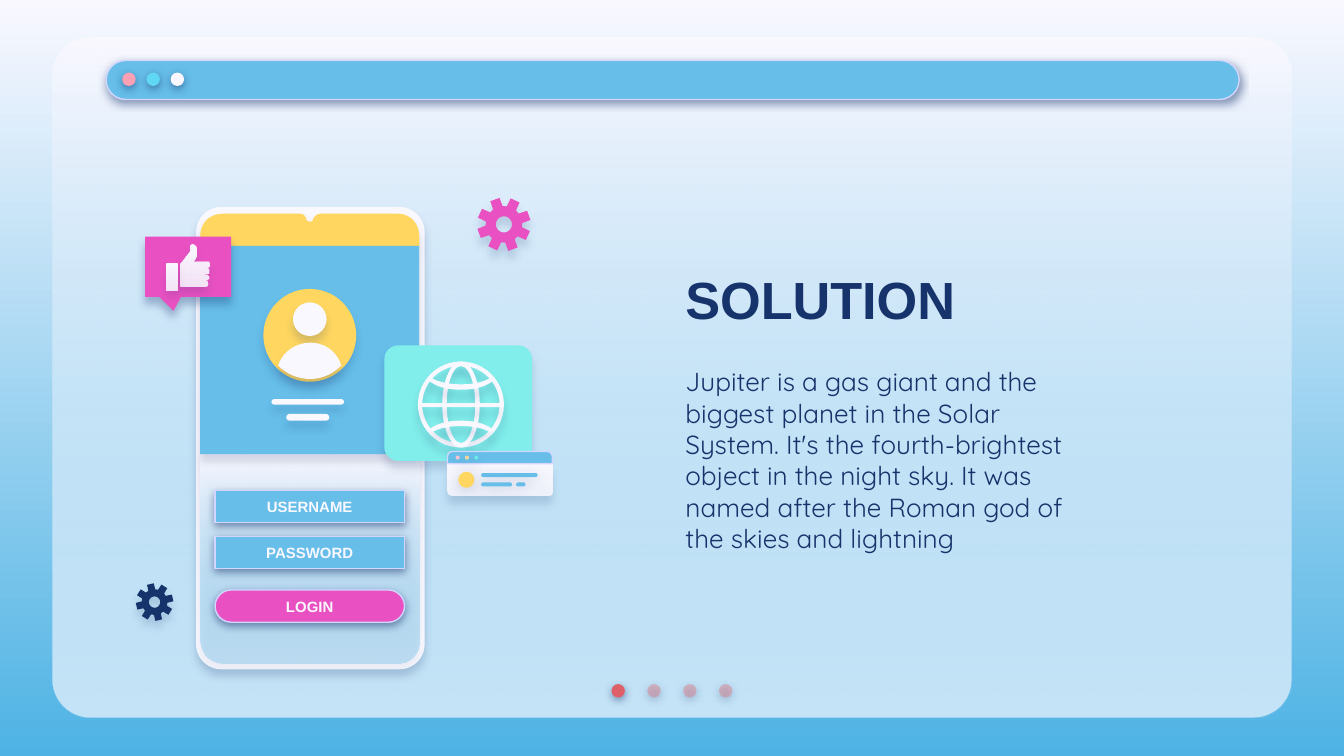
from dataclasses import dataclass
from math import cos, radians, sin

from lxml.etree import SubElement
from pptx import Presentation
from pptx.dml.color import RGBColor
from pptx.enum.shapes import MSO_SHAPE
from pptx.enum.text import MSO_ANCHOR, MSO_AUTO_SIZE, PP_ALIGN
from pptx.oxml.ns import qn
from pptx.util import Inches, Pt


@dataclass(frozen=True)
class Theme:
    """Fills are tuples of (colour, opacity %): one stop is solid, two are a gradient.
    Shadows are (opacity %, blur pt, distance pt)."""
    navy: tuple = (("17336B", 100),)
    white: tuple = (("F9F8FF", 100),)
    blue: tuple = (("66BEE9", 100),)
    yellow: tuple = (("FFD65F", 100),)
    magenta: tuple = (("E951C2", 100),)
    mint: tuple = (("81EEEB", 100),)
    backdrop: tuple = (("F9F8FF", 100), ("4EB3E4", 100))
    glass: tuple = (("F9F8FF", 100), ("66BEE9", 35))
    frost: tuple = (("F9F8FF", 100), ("F9F8FF", 87))
    page_on: tuple = (("DF5F69", 100),)
    page_off: tuple = (("E27B83", 44),)
    window_dots: tuple = ("FDA0B4", "60D8F4", "F9F8FF")
    mini_dots: tuple = ("FFC3D0", "F5D79B", "6AEBE7")
    outline: str = "D2D6FF"
    strong: tuple = (50, 4.5, 1.5)
    callout: tuple = (31, 4.5, 3.8)
    soft: tuple = (16, 4.5, 3.8)
    low: tuple = (16, 4.5, 4.5)
    near: tuple = (18, 6.8, 1.5)
    heading_font: str = "Arial"
    body_font: str = "Quicksand"
    title_size: int = 28
    body_size: int = 14
    label_size: int = 8


T = Theme()
ROUND, OVAL = MSO_SHAPE.ROUNDED_RECTANGLE, MSO_SHAPE.OVAL
TAB, RING = MSO_SHAPE.ROUND_2_SAME_RECTANGLE, MSO_SHAPE.DONUT


def set_fill(fill, stops):
    if len(stops) == 1:
        fill.solid()
        fill.fore_color.rgb = RGBColor.from_string(stops[0][0])
        return
    fill.gradient()
    fill.gradient_angle = 270
    for stop, (color, _) in zip(fill.gradient_stops, stops):
        stop.color.rgb = RGBColor.from_string(color)


def add_alpha(color_element, percent):
    SubElement(color_element, qn("a:alpha"), val=str(percent * 1000))


def style(sp, fill, shadow=None, outlined=False):
    set_fill(sp.fill, fill)
    for element, (_, alpha) in zip(sp.element.xpath("./p:spPr//a:srgbClr"), fill):
        if alpha < 100:
            add_alpha(element, alpha)
    if outlined:
        sp.line.color.rgb = RGBColor.from_string(T.outline)
        sp.line.width = Pt(0.75)
    else:
        sp.line.fill.background()
    sp.shadow.inherit = False
    if shadow:
        alpha, blur, dist = shadow
        effects = sp.element.xpath("./p:spPr/a:effectLst")[0]
        outer = SubElement(effects, qn("a:outerShdw"), blurRad=str(Pt(blur)),
                           dist=str(Pt(dist)), dir="5400000", algn="bl", rotWithShape="0")
        add_alpha(SubElement(outer, qn("a:srgbClr"), val=T.navy[0][0]), alpha)
    return sp


def add_preset(shapes, kind, box, fill, shadow=None, adj=(), outlined=False):
    sp = shapes.add_shape(kind, *map(Inches, box))
    for i, value in enumerate(adj):
        sp.adjustments[i] = value
    return style(sp, fill, shadow, outlined)


def add_outline(shapes, contours, fill, shadow):
    """Draw closed contours, each a list of (x, y) points in inches."""
    emu = [[(Inches(x), Inches(y)) for x, y in contour] for contour in contours]
    builder = shapes.build_freeform(*emu[0][0], scale=1.0)
    for i, points in enumerate(emu):
        if i:
            builder.move_to(*points[0])
        builder.add_line_segments(points[1:], close=True)
    return style(builder.convert_to_shape(), fill, shadow)


def trace(start, *steps, n=10):
    """Turn steps of 2 numbers (line) or 6 numbers (cubic curve) into points."""
    points = [start]
    for step in steps:
        if len(step) == 2:
            points.append(step)
            continue
        x0, y0 = points[-1]
        x1, y1, x2, y2, x3, y3 = step
        for t in (i / n for i in range(1, n + 1)):
            a, b, c, d = (1 - t) ** 3, 3 * t * (1 - t) ** 2, 3 * t * t * (1 - t), t ** 3
            points.append((a * x0 + b * x1 + c * x2 + d * x3,
                           a * y0 + b * y1 + c * y2 + d * y3))
    return points


def add_dots(shapes, left, top, size, step, fills, shadow):
    for i, fill in enumerate(fills):
        add_preset(shapes, OVAL, (left + i * step, top, size, size), fill, shadow)


def add_bars(shapes, boxes, fill, shadow):
    for box in boxes:
        add_preset(shapes, ROUND, box, fill, shadow, (0.5,))


def add_gear(shapes, cx, cy, radius, turn, fill, shadow, teeth=8):
    def polar(share, angle):
        a = radians(angle)
        return cx + radius * share * sin(a), cy - radius * share * cos(a)

    corners = ((0.68, -16), (1, -10.5), (1, 10.5), (0.68, 16))
    rim = [polar(share, turn + i * 360 / teeth + offset)
           for i in range(teeth) for share, offset in corners]
    hole = [polar(0.3, -angle) for angle in range(0, 360, 12)]
    add_outline(shapes, [rim, hole], fill, shadow)


def set_text(sp, text, font, size, color, bold=False, align=PP_ALIGN.LEFT, after=0):
    tf = sp.text_frame
    tf.word_wrap = True
    tf.auto_size = MSO_AUTO_SIZE.NONE
    tf.vertical_anchor = MSO_ANCHOR.MIDDLE
    tf.margin_left = tf.margin_right = tf.margin_top = tf.margin_bottom = Inches(0.1)
    p = tf.paragraphs[0]
    p.alignment = align
    p.space_before, p.space_after = Pt(0), Pt(after)
    r = p.add_run()
    r.text = text
    r.font.name, r.font.size, r.font.bold = font, Pt(size), bold
    r.font.color.rgb = RGBColor.from_string(color[0][0])


def place(sp, box):
    """Position a placeholder and bring it to the front."""
    sp.left, sp.top, sp.width, sp.height = map(Inches, box)
    sp.element.getparent().append(sp.element)


def draw_window(shapes):
    for fill in (T.white, T.glass):
        add_preset(shapes, ROUND, (0.39, 0.28, 9.22, 5.06), fill, adj=(0.056,))
    add_dots(shapes, 4.55, 5.09, 0.1, 0.8 / 3, [T.page_on] + [T.page_off] * 3, T.strong)
    add_preset(shapes, ROUND, (0.79, 0.45, 8.43, 0.29), T.blue, T.strong, (0.5,), True)
    add_dots(shapes, 0.91, 0.54, 0.1, 0.18, [((c, 100),) for c in T.window_dots], T.strong)


def draw_phone(shapes):
    add_preset(shapes, ROUND, (1.46, 1.54, 1.7, 3.44), T.white, T.soft, (0.11,))
    add_preset(shapes, TAB, (1.49, 3.38, 1.63, 1.56), T.glass, T.soft, (0, 0.11))
    notched_bar = trace((1.66, 1.59), (1.56, 1.59, 1.49, 1.66, 1.49, 1.76), (1.49, 1.83),
                        (3.12, 1.83), (3.12, 1.76), (3.12, 1.66, 3.05, 1.59, 2.96, 1.59),
                        (2.39, 1.59), (2.36, 1.59, 2.34, 1.61, 2.33, 1.63),
                        (2.33, 1.64, 2.32, 1.65, 2.31, 1.65),
                        (2.29, 1.65, 2.28, 1.64, 2.28, 1.63),
                        (2.27, 1.6, 2.25, 1.59, 2.23, 1.59))
    add_outline(shapes, [notched_bar], T.yellow, T.soft)
    add_preset(shapes, MSO_SHAPE.RECTANGLE, (1.49, 1.83, 1.63, 1.55), T.blue, T.soft)
    add_preset(shapes, OVAL, (1.96, 2.15, 0.69, 0.69), T.yellow, T.soft)
    add_preset(shapes, OVAL, (2.18, 2.25, 0.25, 0.25), T.white, T.soft)
    shoulders = trace((2.31, 2.55), (2.2, 2.55, 2.1, 2.62, 2.07, 2.72),
                      (2.13, 2.78, 2.21, 2.82, 2.31, 2.82),
                      (2.4, 2.82, 2.48, 2.78, 2.54, 2.72),
                      (2.51, 2.62, 2.42, 2.55, 2.31, 2.55))
    add_outline(shapes, [shoulders], T.white, T.soft)
    add_bars(shapes, [(2.02, 2.97, 0.54, 0.04), (2.13, 3.08, 0.32, 0.05)], T.white, T.soft)
    for label, top, fill, adj in (("USERNAME", 3.65, T.blue, 0), ("PASSWORD", 3.99, T.blue, 0),
                                  ("LOGIN", 4.39, T.magenta, 0.5)):
        sp = add_preset(shapes, ROUND, (1.6, top, 1.41, 0.24), fill, T.strong, (adj,), True)
        set_text(sp, label, T.heading_font, T.label_size, T.white, True, PP_ALIGN.CENTER)


def draw_like_bubble(shapes):
    add_preset(shapes, MSO_SHAPE.ROUNDED_RECTANGULAR_CALLOUT, (1.08, 1.76, 0.64, 0.45),
               T.magenta, T.callout, (-0.17, 0.73, 0))
    thumb = trace((1.43, 1.82), (1.42, 1.82, 1.41, 1.83, 1.41, 1.84), (1.41, 1.87),
                  (1.34, 1.96), (1.34, 2.12), (1.34, 2.12, 1.34, 2.13, 1.35, 2.13),
                  (1.52, 2.13), (1.55, 2.13, 1.55, 2.08, 1.52, 2.08),
                  (1.56, 2.08, 1.56, 2.04, 1.52, 2.04), (1.56, 2.04, 1.56, 1.99, 1.53, 1.99),
                  (1.57, 1.99, 1.57, 1.94, 1.53, 1.94), (1.44, 1.94),
                  (1.46, 1.92, 1.46, 1.9, 1.46, 1.86), (1.46, 1.84, 1.45, 1.82, 1.43, 1.82))
    add_outline(shapes, [thumb], T.frost, T.soft)
    add_preset(shapes, ROUND, (1.24, 1.96, 0.08, 0.2), T.frost, T.soft, (0.12,))


def draw_globe_card(shapes):
    add_preset(shapes, ROUND, (2.86, 2.57, 1.1, 0.86), T.mint, T.soft, (0.12,))
    add_preset(shapes, RING, (3.11, 2.69, 0.64, 0.64), T.white, T.low, (0.05,))
    add_preset(shapes, RING, (3.29, 2.69, 0.28, 0.64), T.white, T.low, (0.12,))
    add_preset(shapes, MSO_SHAPE.RECTANGLE, (3.13, 3, 0.61, 0.03), T.white, T.low)
    north = trace((3.21, 2.81), (3.19, 2.83), (3.19, 2.83, 3.25, 2.9, 3.43, 2.9),
                  (3.61, 2.9, 3.67, 2.83, 3.67, 2.83), (3.65, 2.81),
                  (3.65, 2.81, 3.59, 2.86, 3.43, 2.86), (3.27, 2.86, 3.21, 2.81, 3.21, 2.81))
    south = [(x, 6.03 - y) for x, y in north]
    for parallel in (north, south):
        add_outline(shapes, [parallel], T.white, T.low)


def draw_mini_window(shapes):
    add_preset(shapes, TAB, (3.33, 3.45, 0.78, 0.24), T.frost, T.low, (0, 0.17))
    add_preset(shapes, TAB, (3.33, 3.36, 0.78, 0.09), T.blue, adj=(0.4, 0), outlined=True)
    add_dots(shapes, 3.39, 3.39, 0.03, 0.07, [((c, 100),) for c in T.mini_dots], T.soft)
    add_preset(shapes, OVAL, (3.41, 3.51, 0.12, 0.12), T.yellow, T.near)
    add_bars(shapes, [(3.58, 3.52, 0.42, 0.03), (3.58, 3.59, 0.23, 0.03),
                      (3.84, 3.59, 0.07, 0.03)], T.blue, T.near)


def draw_gears(shapes):
    add_gear(shapes, 3.75, 1.67, 0.2, -20, T.magenta, T.low)
    add_gear(shapes, 1.15, 4.48, 0.14, -13, T.navy, T.soft)


def main():
    prs = Presentation()
    prs.slide_width = Inches(10)
    prs.slide_height = prs.slide_width * 9 // 16
    s = prs.slides.add_slide(prs.slide_layouts[0])
    set_fill(s.background.fill, T.backdrop)
    title, body = s.placeholders
    draw_window(s.shapes.add_group_shape().shapes)
    place(title, (5, 1.83, 3.07, 0.79))
    set_text(title, "SOLUTION", T.heading_font, T.title_size, T.navy, bold=True)
    place(body, (5, 2.65, 3.07, 1.54))
    set_text(body, "Jupiter is a gas giant and the biggest planet in the Solar System. "
             "It's the fourth-brightest object in the night sky. It was named after "
             "the Roman god of the skies and lightning",
             T.body_font, T.body_size, T.navy, after=12)
    for draw in (draw_phone, draw_like_bubble, draw_globe_card, draw_mini_window, draw_gears):
        draw(s.shapes.add_group_shape().shapes)
    prs.save("out.pptx")


if __name__ == "__main__":
    main()
